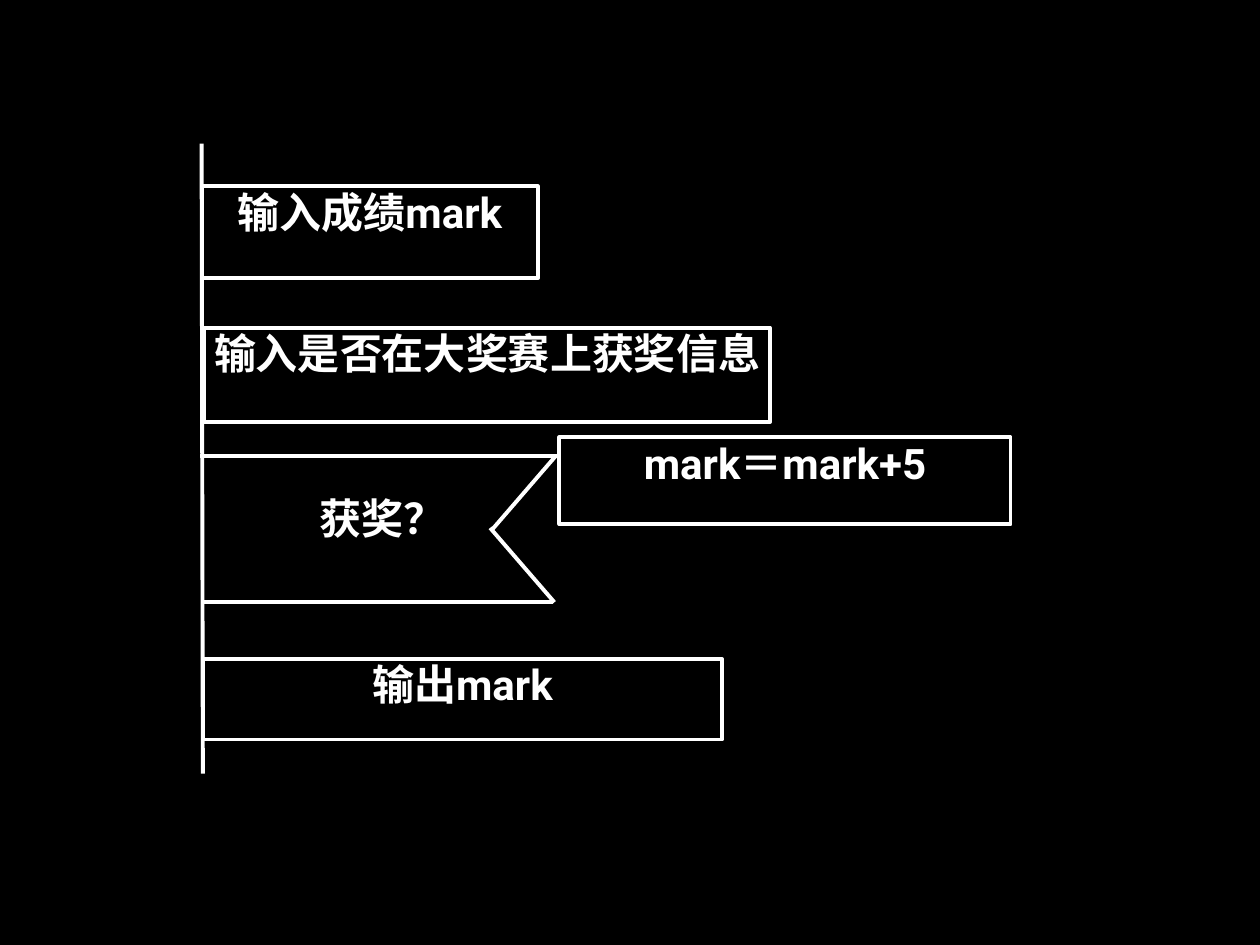
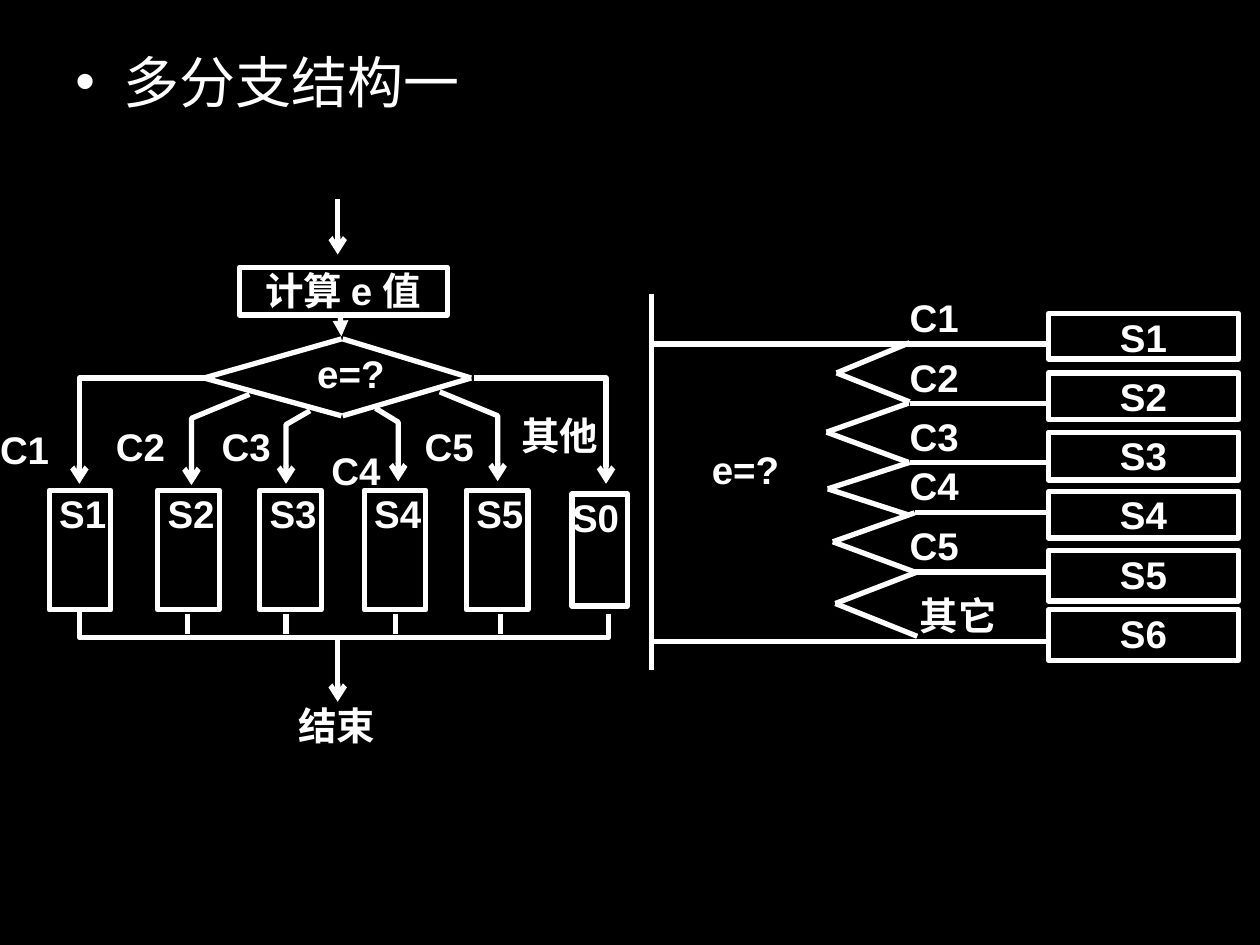
import pptx
import pptx.dml.color
import pptx.enum.shapes
import pptx.enum.text
import pptx.oxml
import pptx.oxml.ns
import pptx.util

Inches = pptx.util.Inches
Pt = pptx.util.Pt
ALIGN = pptx.enum.text.PP_ALIGN

COLORS = {"background": "000000", "ink": "FFFFFF"}
EAST_ASIAN_FONT = "Noto Sans CJK SC"
AWARD_STYLE = {"font": {"name": "Roboto", "size": Pt(24), "bold": True}, "line": 2.25}
BRANCH_STYLE = {"font": {"name": "Arial", "size": Pt(22), "bold": True}, "line": 3}
TITLE_FONT = {"name": EAST_ASIAN_FONT, "size": Pt(32), "bold": False}


def rgb(name):
    return pptx.dml.color.RGBColor.from_string(COLORS[name])


def set_format(target, values):
    for attribute, value in values.items():
        setattr(target, attribute, value)


def add_xml(parent, tag, **attributes):
    element = pptx.oxml.parse_xml(f"<a:{tag} {pptx.oxml.ns.nsdecls('a')}/>")
    for key, value in attributes.items():
        element.set(key, value)
    parent.append(element)
    return element


def new_slide(deck):
    slide = deck.slides.add_slide(deck.slide_layouts[6])
    slide.background.fill.solid()
    slide.background.fill.fore_color.rgb = rgb("background")
    return slide


def write(shape, text, font, align=ALIGN.LEFT, indent=0):
    frame = shape.text_frame
    set_format(frame, {
        "word_wrap": True,
        "vertical_anchor": pptx.enum.text.MSO_ANCHOR.TOP,
        "margin_left": Inches(indent),
        "margin_right": 0,
        "margin_top": 0,
        "margin_bottom": 0,
    })
    paragraph = frame.paragraphs[0]
    paragraph.alignment = align
    run = paragraph.add_run()
    run.text = text
    set_format(run.font, font)
    run.font.color.rgb = rgb("ink")
    add_xml(run.font._element, "ea", typeface=EAST_ASIAN_FONT)


def stroke(shape, width, arrow=None):
    shape.line.color.rgb = rgb("ink")
    shape.line.width = Pt(width)
    if arrow:
        add_xml(shape.line._get_or_add_ln(), "tailEnd", type=arrow)


def add_label(slide, text, area, font, align=ALIGN.LEFT):
    label = slide.shapes.add_textbox(*map(Inches, area))
    write(label, text, font, align)
    return label


def add_step(slide, text, area, style, align=ALIGN.CENTER, indent=0):
    step = slide.shapes.add_shape(
        pptx.enum.shapes.MSO_SHAPE.RECTANGLE, *map(Inches, area))
    step.shadow.inherit = False
    step.fill.background()
    stroke(step, style["line"])
    write(step, text, style["font"], align, indent)


def add_line(slide, start, end, style, arrow=None):
    line = slide.shapes.add_connector(
        pptx.enum.shapes.MSO_CONNECTOR.STRAIGHT, *map(Inches, (*start, *end)))
    stroke(line, style["line"], arrow)
    add_xml(line._element.spPr, "effectLst")


def add_route(slide, points, style, arrow=None):
    start, *rest = [tuple(map(Inches, point)) for point in points]
    builder = slide.shapes.build_freeform(*start)
    builder.add_line_segments(rest, close=False)
    route = builder.convert_to_shape()
    route.shadow.inherit = False
    route.fill.background()
    stroke(route, style["line"], arrow)


def add_bullet_title(slide, text):
    title = add_label(slide, text, (0.5, 0.33, 9, 6.37), TITLE_FONT)
    set_format(title.text_frame, {
        "margin_left": Inches(0.1), "margin_right": Inches(0.1),
        "margin_top": Inches(0.05), "margin_bottom": Inches(0.05),
    })
    properties = title.text_frame.paragraphs[0]._p.get_or_add_pPr()
    properties.set("marL", str(Inches(0.38)))
    properties.set("indent", str(-Inches(0.38)))
    add_xml(properties, "buFont", typeface="Arial")
    add_xml(properties, "buChar", char="•")


def build_award_slide(deck):
    slide = new_slide(deck)
    add_line(slide, (1.6, 1.14), (1.61, 6.14), AWARD_STYLE)
    for text, area in (
        ("输入成绩mark", (1.6, 1.48, 2.67, 0.73)),
        ("输入是否在大奖赛上获奖信息", (1.62, 2.6, 4.49, 0.75)),
        ("mark＝mark+5", (4.44, 3.47, 3.58, 0.69)),
        ("输出mark", (1.61, 5.23, 4.12, 0.64)),
    ):
        add_step(slide, text, area, AWARD_STYLE)
    add_label(slide, "获奖？", (1.81, 3.91, 2.46, 0.68), AWARD_STYLE["font"], ALIGN.CENTER)
    for start, end in (
        ((1.59, 3.62), (4.44, 3.62)),
        ((4.41, 3.62), (3.9, 4.21)),
        ((1.62, 4.78), (4.39, 4.78)),
        ((4.4, 4.78), (3.89, 4.19)),
    ):
        add_line(slide, start, end, AWARD_STYLE)


def draw_flowchart(slide):
    style, font = BRANCH_STYLE, BRANCH_STYLE["font"]
    add_step(slide, "计算 e 值", (1.9, 2.12, 1.65, 0.38), style)
    for top_or_bottom in (2.69, 3.3):
        add_line(slide, (2.71, top_or_bottom), (1.62, 3), style)
        add_line(slide, (2.72, top_or_bottom), (3.74, 3), style)
    add_label(slide, "e=?", (2.3, 2.78, 0.97, 0.33), font, ALIGN.CENTER)

    add_line(slide, (2.68, 1.58), (2.68, 2.02), style, "arrow")
    add_line(slide, (2.7, 2.5), (2.71, 2.67), style, "triangle")
    add_line(slide, (2.68, 5.06), (2.68, 5.57), style, "arrow")

    for number, left in enumerate((0.39, 1.25, 2.06, 2.89, 3.7), 1):
        add_step(slide, f"S{number}", (left, 3.89, 0.49, 0.95), style, ALIGN.LEFT, 0.08)
    add_step(slide, "S0", (4.54, 3.92, 0.44, 0.89), style, ALIGN.LEFT)

    for exit_point, bend, tip in (
        ((1.68, 3), (0.63, 3), 3.84),
        ((1.98, 3.13), (1.52, 3.32), 3.85),
        ((2.46, 3.26), (2.27, 3.37), 3.84),
        ((2.98, 3.24), (3.16, 3.35), 3.82),
        ((3.49, 3.11), (3.95, 3.3), 3.82),
        ((3.76, 3), (4.81, 3), 3.84),
    ):
        add_route(slide, (exit_point, bend, (bend[0], tip)), style, "arrow")

    for text, left, top in (
        ("C1", 0, 3.38), ("C2", 0.92, 3.36), ("C3", 1.76, 3.36),
        ("C4", 2.63, 3.55), ("C5", 3.37, 3.36),
    ):
        add_label(slide, text, (left, top, 0.49, 0.29), font)
    add_label(slide, "其他", (4.14, 3.27, 0.86, 0.33), font)

    add_route(slide, ((0.63, 4.82), (0.63, 5.06), (4.83, 5.06), (4.83, 4.87)), style)
    for merge_x in (1.49, 2.27, 3.14, 3.97):
        add_line(slide, (merge_x, 4.87), (merge_x, 5.03), style)
    add_label(slide, "结束", (2.37, 5.57, 0.76, 0.35), font)


def draw_case_diagram(slide):
    style, font = BRANCH_STYLE, BRANCH_STYLE["font"]
    pitch = 0.47
    add_line(slide, (5.17, 2.33), (5.17, 5.32), style)
    add_label(slide, "e=?", (5.65, 3.54, 0.75, 0.39), font)

    for index, height in enumerate((0.36, 0.37, 0.38, 0.37, 0.4, 0.4)):
        add_step(slide, f"S{index + 1}", (8.32, 2.49 + index * pitch, 1.51, height), style)

    for left, y in ((5.17, 2.73), (7.22, 3.2), (7.22, 3.67),
                    (7.26, 4.07), (7.22, 4.54), (5.17, 5.09)):
        add_line(slide, (8.32, y), (left, y), style)

    for right, upper, lower, notch in (
        (7.22, 2.72, 3.19, (6.64, 2.96)),
        (7.21, 3.2, 3.67, (6.56, 3.43)),
        (7.22, 3.67, 4.09, (6.57, 3.88)),
        (7.26, 4.07, 4.54, (6.61, 4.3)),
        (7.28, 4.54, 5.05, (6.63, 4.79)),
    ):
        for y in (upper, lower):
            add_line(slide, (right, y), notch, style)

    for number, top in enumerate((2.33, 2.81, 3.28, 3.67, 4.14), 1):
        add_label(slide, f"C{number}", (7.22, top, 0.49, 0.32), font)
    add_label(slide, "其它", (7.3, 4.7, 0.73, 0.32), font)


def build_branch_slide(deck):
    slide = new_slide(deck)
    add_bullet_title(slide, "多分支结构一")
    draw_flowchart(slide)
    draw_case_diagram(slide)


def main():
    deck = pptx.Presentation()
    set_format(deck, {"slide_width": Inches(10), "slide_height": Inches(7.5)})
    build_award_slide(deck)
    build_branch_slide(deck)
    deck.save("out.pptx")


if __name__ == "__main__":
    main()
